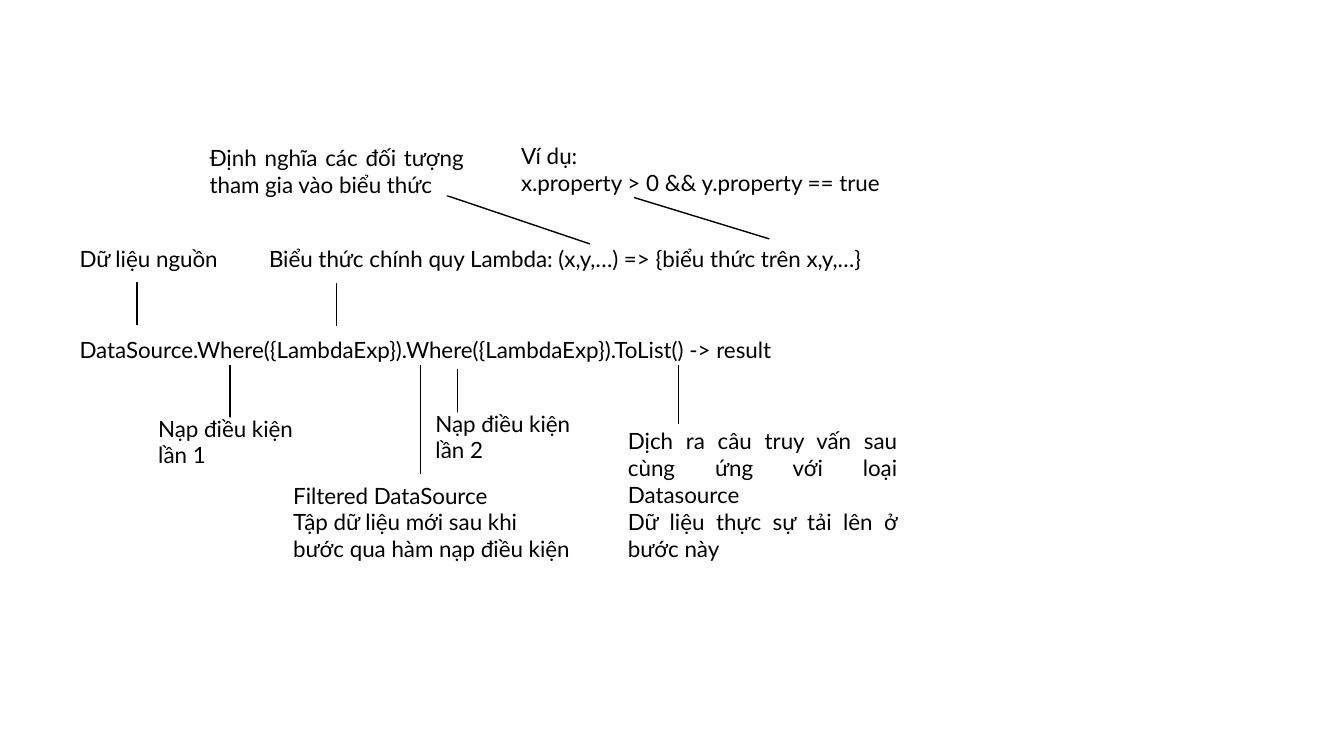
from lxml.etree import SubElement
from pptx import Presentation
from pptx.dml.color import RGBColor
from pptx.enum.shapes import MSO_CONNECTOR as Conn, MSO_SHAPE as Shape
from pptx.enum.text import MSO_ANCHOR as Anchor, MSO_AUTO_SIZE as Auto, PP_ALIGN as Align
from pptx.oxml.ns import qn
from pptx.util import Pt

SCALE = 9144
SIZE = (1333, 750)
INK, PAPER = "000000", "FFFFFF"
FONT = {"name": "Lato", "size": Pt(16)}
LEFT, JUST = Align.LEFT, Align.JUSTIFY

PARTS = [
    ("box", (69, 323, 831, 48), LEFT,
     ["DataSource.Where({LambdaExp}).Where({LambdaExp}).ToList() -> result"]),
    ("line", (228, 362, 228, 421)),
    ("box", (147, 414, 159, 48), LEFT, ["Nạp điều kiện", "lần 1"]),
    ("line", (454, 366, 454, 425)),
    ("box", (422, 409, 159, 48), LEFT, ["Nạp điều kiện", "lần 2"]),
    ("box", (613, 417, 287, 147), JUST,
     ["Dịch ra câu truy vấn sau cùng ứng với loại Datasource",
      "Dữ liệu thực sự tải lên ở bước này"]),
    ("line", (673, 362, 673, 421)),
    ("line", (136, 263, 136, 322)),
    ("box", (69, 232, 159, 48), LEFT, ["Dữ liệu nguồn"]),
    ("line", (334, 264, 334, 323)),
    ("box", (257, 233, 654, 48), LEFT,
     ["Biểu thức chính quy Lambda: (x,y,…) => {biểu thức trên x,y,…}"]),
    ("line", (443, 194, 585, 242)),
    ("box", (198, 146, 272, 48), JUST,
     ["Định nghĩa các đối tượng tham gia vào biểu thức"]),
    ("line", (629, 196, 763, 237)),
    ("box", (507, 144, 403, 48), LEFT,
     ["Ví dụ:", "x.property > 0 && y.property == true"]),
    ("label", (281, 473, 303, 91), LEFT,
     ["Filtered DataSource", "Tập dữ liệu mới sau khi", "bước qua hàm nạp điều kiện"]),
    ("line", (417, 362, 417, 470)),
]


def px(nums):
    return [n * SCALE for n in nums]


def color(hex):
    return RGBColor.from_string(hex)


def write(frame, align, lines):
    for i, text in enumerate(lines):
        para = frame.paragraphs[0] if i == 0 else frame.add_paragraph()
        para.alignment = align
        run = para.add_run()
        run.text = text
        for key, value in FONT.items():
            setattr(run.font, key, value)
        run.font.color.rgb = color(INK)


def box(slide, rect, align, lines):
    shape = slide.shapes.add_shape(Shape.RECTANGLE, *px(rect))
    shape.shadow.inherit = False
    shape.fill.solid()
    shape.fill.fore_color.rgb = color(PAPER)
    shape.line.fill.background()
    frame = shape.text_frame
    frame.word_wrap, frame.vertical_anchor = True, Anchor.MIDDLE
    write(frame, align, lines)


def label(slide, rect, align, lines):
    frame = slide.shapes.add_textbox(*px(rect)).text_frame
    frame.word_wrap, frame.auto_size = False, Auto.SHAPE_TO_FIT_TEXT
    write(frame, align, lines)


def line(slide, ends):
    link = slide.shapes.add_connector(Conn.STRAIGHT, *px(ends))
    link.line.color.rgb = color(INK)
    link.line.width = Pt(1)
    SubElement(link._element.spPr, qn("a:effectLst"))


def main():
    """Draw the annotated query chain and save the deck."""
    deck = Presentation()
    deck.slide_width, deck.slide_height = px(SIZE)
    slide = deck.slides.add_slide(deck.slide_layouts[6])
    draw = {"box": box, "label": label, "line": line}
    for kind, *args in PARTS:
        draw[kind](slide, *args)
    deck.save("out.pptx")


if __name__ == "__main__":
    main()
